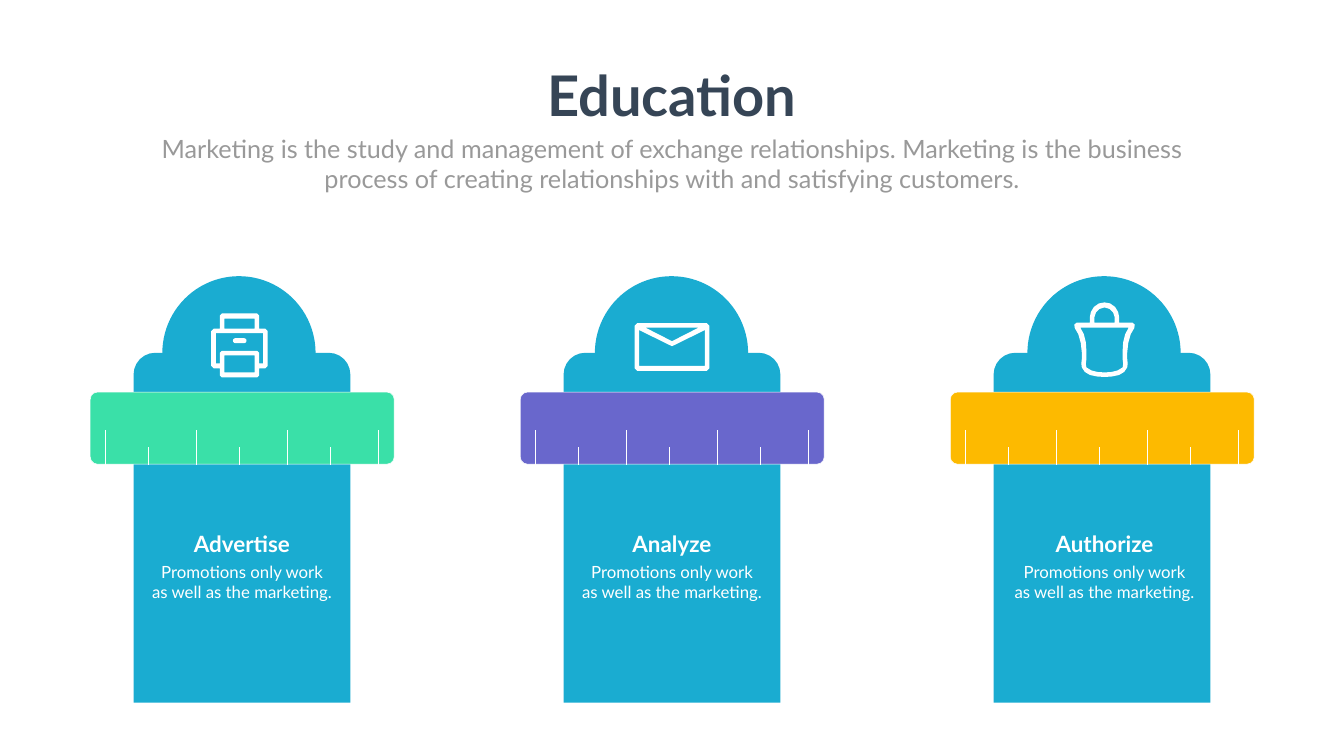
import lxml.etree
import pptx
import pptx.dml.color
import pptx.enum.shapes
import pptx.enum.text
import pptx.oxml.ns
import pptx.util

KIND = pptx.enum.shapes.MSO_SHAPE
INCH = pptx.util.Inches
WIDE, HIGH = 26.66, 15
STEP, DRIFT = 8.53, 8.58
WHITE, BLUE = "FFFFFF", "1AACD1"

PRINTER = [
    [(0, 6.22), (.35, 6.22), (.39, 6.26), (.39, 6.52), (.51, 6.52), (.56, 6.57),
     (.56, 7.26), (.51, 7.31), (.39, 7.31), (.39, 7.45), (.35, 7.49), (0, 7.49)],
    [(0, 6.32), (.3, 6.32), (.3, 6.52), (0, 6.52)],
    [(0, 6.61), (.47, 6.61), (.47, 7.21), (.39, 7.21), (.39, 7), (.35, 6.96), (0, 6.96)],
    [(0, 7.05), (.3, 7.05), (.3, 7.39), (0, 7.39)],
]
LETTER = [
    [(0, 6.41), (.69, 6.41), (.74, 6.46), (.74, 7.31), (.69, 7.36), (0, 7.36)],
    [(0, 6.5), (.53, 6.5), (0, 6.77)],
    [(0, 6.87), (.65, 6.55), (.65, 7.26), (0, 7.26)],
]
BAG = [
    [(0, 6), (.11, 6.02), (.21, 6.09), (.27, 6.19), (.29, 6.29), (.29, 6.4),
     (.55, 6.4), (.6, 6.44), (.59, 6.51), (.52, 6.63), (.47, 6.81), (.45, 7),
     (.45, 7.12), (.46, 7.21), (.45, 7.29), (.39, 7.38), (.29, 7.44), (.15, 7.47), (0, 7.48)],
    [(0, 6.1), (.1, 6.13), (.17, 6.2), (.2, 6.29), (.2, 6.4), (0, 6.4)],
    [(0, 6.5), (.48, 6.5), (.41, 6.63), (.37, 6.79), (.36, 6.95), (.36, 7.13),
     (.37, 7.22), (.36, 7.29), (.26, 7.35), (.14, 7.38), (0, 7.39)],
]
ITEMS = [
    ("Advertise", "3AE0A8", PRINTER, 4.8),
    ("Analyze", "6967CC", LETTER, 13.33),
    ("Authorize", "FDBA00", BAG, 21.91),
]
NOTE = ["Promotions only work", "as well as the marketing."]


def shade(code):
    return pptx.dml.color.RGBColor.from_string(code)


def paint(shape, fill, edge=None):
    shape.shadow.inherit = False
    shape.fill.solid()
    shape.fill.fore_color.rgb = shade(fill)
    if edge:
        shape.line.color.rgb = shade(edge)
        shape.line.width = pptx.util.Pt(0.75)
    else:
        shape.line.fill.background()


def block(slide, kind, box, fill, edge=None, bends=()):
    shape = slide.shapes.add_shape(kind, *map(INCH, box))
    for spot, bend in enumerate(bends):
        shape.adjustments[spot] = bend
    paint(shape, fill, edge)


def tick(slide, left, top, base):
    line = slide.shapes.add_connector(
        pptx.enum.shapes.MSO_CONNECTOR.STRAIGHT, *map(INCH, (left, base, left, top)))
    line.line.color.rgb = shade(WHITE)
    line.line.width = pptx.util.Pt(1.16)
    lxml.etree.SubElement(line._element.spPr, pptx.oxml.ns.qn("a:effectLst"))


def ruler(slide, left, fill):
    block(slide, KIND.ROUNDED_RECTANGLE, (left, 7.78, 6.03, 1.43), fill, WHITE, (0.1,))
    for count in range(7):
        odd = count % 2
        tick(slide, left + 0.31 + 0.9 * count - 0.05 * odd, 8.87 if odd else 8.54, 9.22)


def icon(slide, mid, halves):
    loops = []
    for half in halves:
        loop = half + [(-x, y) for x, y in reversed(half) if x]
        loops.append([(INCH(mid + x), INCH(y)) for x, y in loop])
    first, *rest = loops
    pen = slide.shapes.build_freeform(*first[0])
    pen.add_line_segments(first[1:])
    for loop in rest:
        pen.move_to(*loop[0])
        pen.add_line_segments(loop[1:])
    paint(pen.convert_to_shape(), WHITE)


def words(slide, lines, box, size, ink, bold=False, wrap=True):
    frame = slide.shapes.add_textbox(*map(INCH, box)).text_frame
    frame.word_wrap = wrap
    frame.text = "\n".join(lines)
    for para in frame.paragraphs:
        para.alignment = pptx.enum.text.PP_ALIGN.CENTER
        para.font.name = "Lato"
        para.font.size = pptx.util.Pt(size)
        para.font.bold = bold
        para.font.color.rgb = shade(ink)


def pillar(slide, spot, item):
    name, fill, halves, mid = item
    left, shift = 1.79 + STEP * spot, DRIFT * spot
    block(slide, KIND.ROUND_2_SAME_RECTANGLE, (left + 0.86, 7, 4.3, 6.94), BLUE, bends=(0.1, 0))
    block(slide, KIND.OVAL, (3.22 + shift, 5.48, 3.04, 3.05), BLUE)
    ruler(slide, left, fill)
    icon(slide, 4.75 + shift, halves)
    words(slide, [name], (mid - 1.3, 10.46, 2.6, 0.64), 32, WHITE, True)
    words(slide, NOTE, (mid - 2.2, 11.1, 4.4, 0.91), 24, WHITE)


def main():
    deck = pptx.Presentation()
    deck.slide_width, deck.slide_height = INCH(WIDE), INCH(HIGH)
    slide = deck.slides.add_slide(deck.slide_layouts[6])
    for spot, item in enumerate(ITEMS):
        pillar(slide, spot, item)
    block(slide, KIND.ROUNDED_RECTANGLE, (4.62, 6.71, 0.27, 0.1), WHITE, bends=(0.5,))
    words(slide, ["Education"], (WIDE / 2 - 2.62, 1.16, 5.24, 1.45), 80, "364556", True, False)
    words(slide, ["Marketing is the study and management of exchange relationships. "
                  "Marketing is the business process of creating relationships with "
                  "and satisfying customers."],
          (WIDE * 0.1, 2.6, WIDE * 0.8, 1.31), 36, "999999")
    deck.save("out.pptx")


if __name__ == "__main__":
    main()
